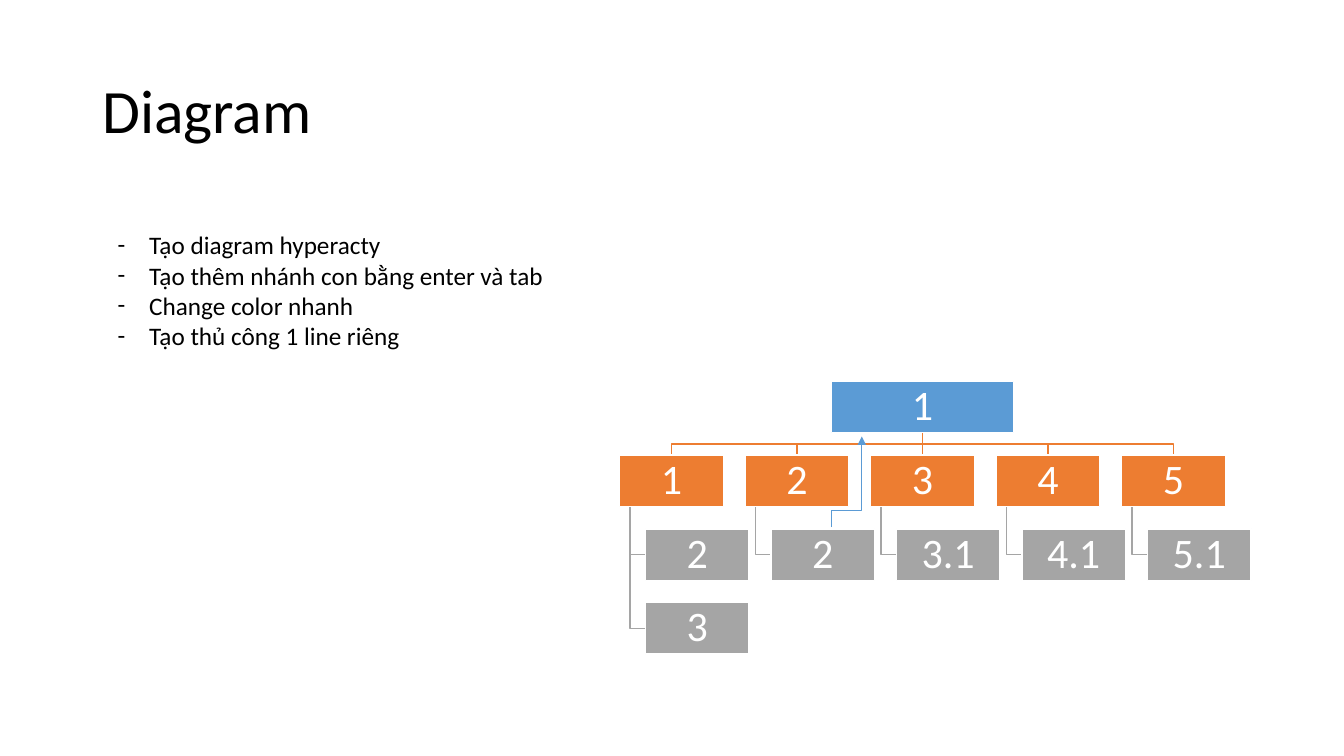
import pptx
import pptx.util
import pptx.dml.color
import pptx.enum.shapes
import pptx.enum.text
import pptx.oxml.ns
import lxml.etree

Pt = pptx.util.Pt
COLORS = {
    "ink": "000000",
    "paper": "FFFFFF",
    "root": "5B9BD5",
    "branch": "ED7D31",
    "leaf": "A5A5A5",
}


class Board:
    def __init__(self, slide, font="Calibri"):
        self.slide = slide
        self.font = font

    def color(self, name):
        return pptx.dml.color.RGBColor.from_string(COLORS[name])

    def stroke(self, line, color, weight):
        line.color.rgb = self.color(color)
        line.width = Pt(weight)

    def style(self, paragraph, text, size, color):
        paragraph.text = text
        paragraph.font.name = self.font
        paragraph.font.size = Pt(size)
        paragraph.font.color.rgb = self.color(color)

    def title(self, text, left, top, width, height):
        heading = self.slide.shapes.add_textbox(Pt(left), Pt(top), Pt(width), Pt(height))
        frame = heading.text_frame
        frame.word_wrap = True
        frame.vertical_anchor = pptx.enum.text.MSO_ANCHOR.MIDDLE
        self.style(frame.paragraphs[0], text, 44, "ink")
        frame.paragraphs[0].line_spacing = 0.9

    def bullets(self, items, left, top, width, height):
        steps = self.slide.shapes.add_textbox(Pt(left), Pt(top), Pt(width), Pt(height))
        frame = steps.text_frame
        frame.word_wrap = False
        frame.auto_size = pptx.enum.text.MSO_AUTO_SIZE.SHAPE_TO_FIT_TEXT
        qn = pptx.oxml.ns.qn
        for index, item in enumerate(items):
            paragraph = frame.add_paragraph() if index else frame.paragraphs[0]
            self.style(paragraph, item, 18, "ink")
            properties = paragraph._p.get_or_add_pPr()
            properties.set("marL", str(Pt(22.5)))
            properties.set("indent", str(-Pt(22.5)))
            lxml.etree.SubElement(properties, qn("a:buFont")).set("typeface", self.font)
            lxml.etree.SubElement(properties, qn("a:buChar")).set("char", "-")

    def node(self, text, left, top, width, height, color):
        box = self.slide.shapes.add_shape(
            pptx.enum.shapes.MSO_SHAPE.RECTANGLE, Pt(left), Pt(top), Pt(width), Pt(height))
        box.shadow.inherit = False
        box.fill.solid()
        box.fill.fore_color.rgb = self.color(color)
        self.stroke(box.line, "paper", 1)
        frame = box.text_frame
        frame.word_wrap = True
        frame.vertical_anchor = pptx.enum.text.MSO_ANCHOR.MIDDLE
        frame.margin_left = frame.margin_right = Pt(1.5)
        frame.margin_top = frame.margin_bottom = Pt(1.5)
        label = frame.paragraphs[0]
        self.style(label, text, 30, "paper")
        label.alignment = pptx.enum.text.PP_ALIGN.CENTER
        label.line_spacing = 0.9

    def link(self, points, color):
        start, *rest = [(Pt(x), Pt(y)) for x, y in points]
        builder = self.slide.shapes.build_freeform(*start)
        builder.add_line_segments(rest, close=False)
        branch_line = builder.convert_to_shape()
        branch_line.shadow.inherit = False
        branch_line.fill.background()
        self.stroke(branch_line.line, color, 1)

    def rising_arrow(self, start, end, bend, color):
        middle_x, middle_y = (start[0] + end[0]) / 2, (start[1] + end[1]) / 2
        half_run, half_rise = (end[0] - start[0]) / 2, (start[1] - end[1]) / 2
        arrow = self.slide.shapes.add_connector(
            pptx.enum.shapes.MSO_CONNECTOR.ELBOW,
            Pt(middle_x + half_rise), Pt(middle_y + half_run),
            Pt(middle_x - half_rise), Pt(middle_y - half_run))
        self.stroke(arrow.line, color, 0.5)
        qn = pptx.oxml.ns.qn
        properties = arrow._element.spPr
        properties.find(qn("a:xfrm")).set("rot", "5400000")
        adjustments = properties.find(qn("a:prstGeom")).find(qn("a:avLst"))
        guide = lxml.etree.SubElement(adjustments, qn("a:gd"))
        guide.set("name", "adj1")
        guide.set("fmla", f"val {round(bend * 100000)}")
        head = lxml.etree.SubElement(properties.find(qn("a:ln")), qn("a:tailEnd"))
        head.set("type", "triangle")
        lxml.etree.SubElement(properties, qn("a:effectLst"))


def main():
    deck = pptx.Presentation()
    deck.slide_width, deck.slide_height = Pt(960), Pt(540)
    board = Board(deck.slides.add_slide(deck.slide_layouts[6]))

    board.title("Diagram", 66, 28.75, 828, 104.4)
    board.bullets([
        "Tạo diagram hyperacty",
        "Tạo thêm nhánh con bằng enter và tab",
        "Change color nhanh",
        "Tạo thủ công 1 line riêng",
    ], 77, 160.5, 322.5, 116.6)

    branches = [("1", ["2", "3"]), ("2", ["2"]), ("3", ["3.1"]), ("4", ["4.1"]), ("5", ["5.1"])]
    left, column_step, row_step = 442.6, 89.65, 52.7
    width, height = 74, 36.7
    root_top, root_width = 272.4, 130.3
    branch_top = root_top + row_step
    root_center = left + 2 * column_step + width / 2
    root_bottom = root_top + height
    bar = (root_bottom + branch_top) / 2
    spine_inset, leaf_inset = 7.4, 18.4

    columns = [(left + i * column_step, name, leaves) for i, (name, leaves) in enumerate(branches)]
    for x, name, leaves in columns:
        center = x + width / 2
        board.link([(root_center, root_bottom), (root_center, bar),
                    (center, bar), (center, branch_top)], "branch")
        for row in range(1, len(leaves) + 1):
            leaf_middle = branch_top + row * row_step + height / 2
            board.link([(x + spine_inset, branch_top + height), (x + spine_inset, leaf_middle),
                        (x + leaf_inset, leaf_middle)], "leaf")

    board.node("1", root_center - root_width / 2, root_top, root_width, height, "root")
    for x, name, leaves in columns:
        board.node(name, x, branch_top, width, height, "branch")
        for row, leaf in enumerate(leaves, 1):
            board.node(leaf, x + leaf_inset, branch_top + row * row_step, width, height, "leaf")

    board.rising_arrow((594, 376.6), (615.6, 311.8), 0.19, "root")
    deck.save("out.pptx")


if __name__ == "__main__":
    main()
